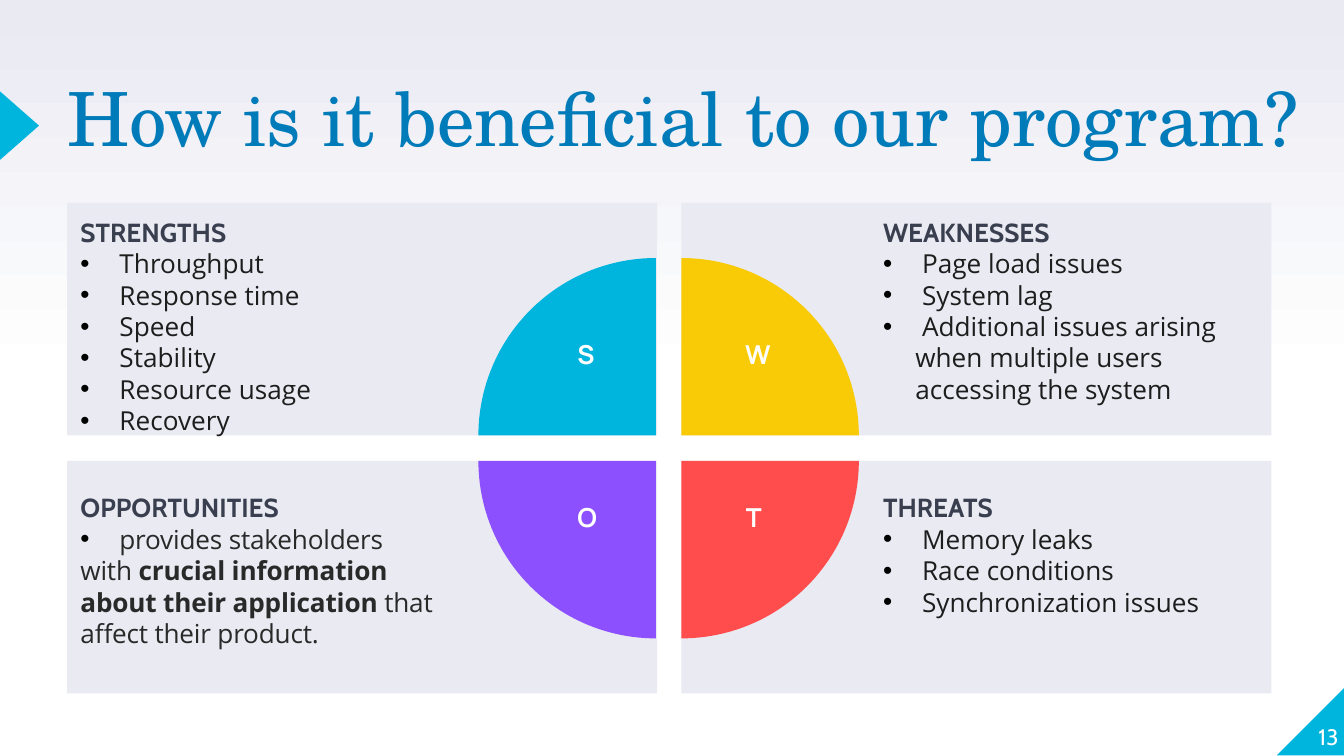
from pptx import Presentation
from pptx.dml.color import RGBColor
from pptx.enum.shapes import MSO_SHAPE as SHAPE
from pptx.enum.text import MSO_ANCHOR as ANCHOR, PP_ALIGN as ALIGN
from pptx.oxml.ns import qn
from pptx.util import Inches, Pt
from lxml import etree

CYAN = RGBColor(0x00, 0xB5, 0xDD)
YELLOW = RGBColor(0xF9, 0xCB, 0x07)
RED = RGBColor(0xFF, 0x4D, 0x4D)
PURPLE = RGBColor(0x8C, 0x50, 0xFF)
BLUE = RGBColor(0x00, 0x7B, 0xB9)
PALE = RGBColor(0xE9, 0xEA, 0xF2)
SLATE = RGBColor(0x3A, 0x3F, 0x50)
INK = RGBColor(0x1D, 0x1D, 0x1D)
GRAY = RGBColor(0x29, 0x29, 0x29)
BLACK = RGBColor(0x00, 0x00, 0x00)
WHITE = RGBColor(0xFF, 0xFF, 0xFF)

PANEL_W, PANEL_H = 4.39, 1.73
LEFT, RIGHT = 0.5, 5.07
TOP, BOTTOM = 1.51, 3.43
PIE_SIZE = 2.64
HANG = 0.24


def add_shape(s, kind, x, y, w, h, color, rotation=0):
    sp = s.shapes.add_shape(kind, Inches(x), Inches(y), Inches(w), Inches(h))
    sp.shadow.inherit = False
    sp.fill.solid()
    sp.fill.fore_color.rgb = color
    sp.line.fill.background()
    sp.rotation = rotation
    return sp


def set_insets(tf, left=0, top=0, right=0, bottom=0):
    tf.margin_left, tf.margin_top = Inches(left), Inches(top)
    tf.margin_right, tf.margin_bottom = Inches(right), Inches(bottom)


def add_run(p, text, font, size, color, bold=False, spacing=0):
    r = p.add_run()
    r.text = text
    r.font.name = font
    r.font.size = Pt(size)
    r.font.bold = bold
    r.font.color.rgb = color
    if spacing:
        r._r.get_or_add_rPr().set("spc", str(spacing))


def add_bullet(p):
    pPr = p._p.get_or_add_pPr()
    pPr.set("marL", str(Inches(HANG)))
    pPr.set("indent", str(-Inches(HANG)))
    color = etree.SubElement(pPr, qn("a:buClr"))
    etree.SubElement(color, qn("a:srgbClr"), val=str(BLACK))
    etree.SubElement(pPr, qn("a:buFont"), typeface="Arial")
    etree.SubElement(pPr, qn("a:buChar"), char="•")


def add_backdrop(s):
    fill = s.background.fill
    fill.gradient()
    fill.gradient_angle = 90
    for stop, position, color in zip(fill.gradient_stops, (0.5, 1), (WHITE, PALE)):
        stop.position = position
        stop.color.rgb = color
    add_shape(s, SHAPE.RIGHT_TRIANGLE, 9.5, 5.11, 0.51, 0.51, CYAN, 270)
    add_shape(s, SHAPE.ISOSCELES_TRIANGLE, -0.11, 0.79, 0.51, 0.29, CYAN, 90)


def add_title(s, x, y, w, h):
    title = s.shapes.title
    title.left, title.top = Inches(x), Inches(y)
    title.width, title.height = Inches(w), Inches(h)
    tf = title.text_frame
    tf.word_wrap = True
    tf.vertical_anchor = ANCHOR.TOP
    set_insets(tf)
    p = tf.paragraphs[0]
    p.alignment = ALIGN.LEFT
    p.line_spacing = 0.8
    add_run(p, "How is it beneficial to our program?", "TeX Gyre Schola", 40, BLUE)


def add_label(s, x, y, w, h, text, font, size, bold, align):
    tf = s.shapes.add_textbox(Inches(x), Inches(y), Inches(w), Inches(h)).text_frame
    tf.word_wrap = True
    p = tf.paragraphs[0]
    p.alignment = align
    add_run(p, text, font, size, WHITE, bold)
    return tf


def add_page_number(s, x, y, w, h):
    tf = add_label(s, x, y, w, h, "13", "Cabin", 12, False, ALIGN.RIGHT)
    set_insets(tf)
    tf.vertical_anchor = ANCHOR.BOTTOM


def add_panel(s, x, y, heading, bullets, ink=INK, closing=(), spacing=0):
    sp = add_shape(s, SHAPE.RECTANGLE, x, y, PANEL_W, PANEL_H, PALE)
    tf = sp.text_frame
    tf.word_wrap = True
    tf.vertical_anchor = ANCHOR.TOP
    sides = (0.1, 1.5) if x == LEFT else (1.5, 0.1)
    set_insets(tf, sides[0], 0.1 if y == TOP else 0.23, sides[1], 0.1)
    add_run(tf.paragraphs[0], heading, "Cabin", 14, SLATE, True)
    for text in bullets:
        p = tf.add_paragraph()
        add_bullet(p)
        add_run(p, " " + text, "Open Sans", 14, ink, spacing=spacing)
    if closing:
        p = tf.add_paragraph()
        for text, bold in closing:
            add_run(p, text, "Open Sans", 14, ink, bold, spacing)
    for p in tf.paragraphs:
        p.alignment = ALIGN.LEFT
        p.line_spacing = Pt(16.8)


def add_quadrant(s, x, y, letter, letter_dx, color, rotation):
    corner_x = x + PANEL_W - 0.01 if x == LEFT else x
    corner_y = y + PANEL_H if y == TOP else y
    half = PIE_SIZE / 2
    pie = add_shape(s, SHAPE.PIE, corner_x - half, corner_y - half,
                    PIE_SIZE, PIE_SIZE, color, rotation)
    pie.adjustments[0], pie.adjustments[1] = 108, 162
    label_y = corner_y + (-0.77 if y == TOP else 0.25)
    add_label(s, corner_x + letter_dx - 0.35, label_y, 0.7, 0.48,
              letter, "Manrope", 14, True, ALIGN.CENTER)


def main():
    prs = Presentation()
    prs.slide_width = Inches(10)
    prs.slide_height = prs.slide_width * 9 // 16
    s = prs.slides.add_slide(prs.slide_layouts[5])
    add_backdrop(s)
    add_title(s, 0.5, 0.66, 10.36, 1.18)
    add_page_number(s, 9.46, 5.07, 0.5, 0.51)

    add_panel(s, LEFT, TOP, "STRENGTHS",
              ["Throughput", "Response time", "Speed", "Stability",
               "Resource usage", "Recovery"])
    add_panel(s, RIGHT, TOP, "WEAKNESSES",
              ["Page load issues", "System lag",
               "Additional issues arising when multiple users accessing the system"])
    add_panel(s, LEFT, BOTTOM, "OPPORTUNITIES", ["provides stakeholders"], GRAY,
              [("with ", False),
               ("crucial information about their application", True),
               (" that affect their product.", False)], -10)
    add_panel(s, RIGHT, BOTTOM, "THREATS",
              ["Memory leaks", "Race conditions", "Synchronization issues"])

    add_quadrant(s, LEFT, TOP, "S", -0.52, CYAN, 0)
    add_quadrant(s, RIGHT, TOP, "W", 0.57, YELLOW, 90)
    add_quadrant(s, RIGHT, BOTTOM, "T", 0.54, RED, 180)
    add_quadrant(s, LEFT, BOTTOM, "O", -0.51, PURPLE, 270)
    prs.save("out.pptx")


if __name__ == "__main__":
    main()
